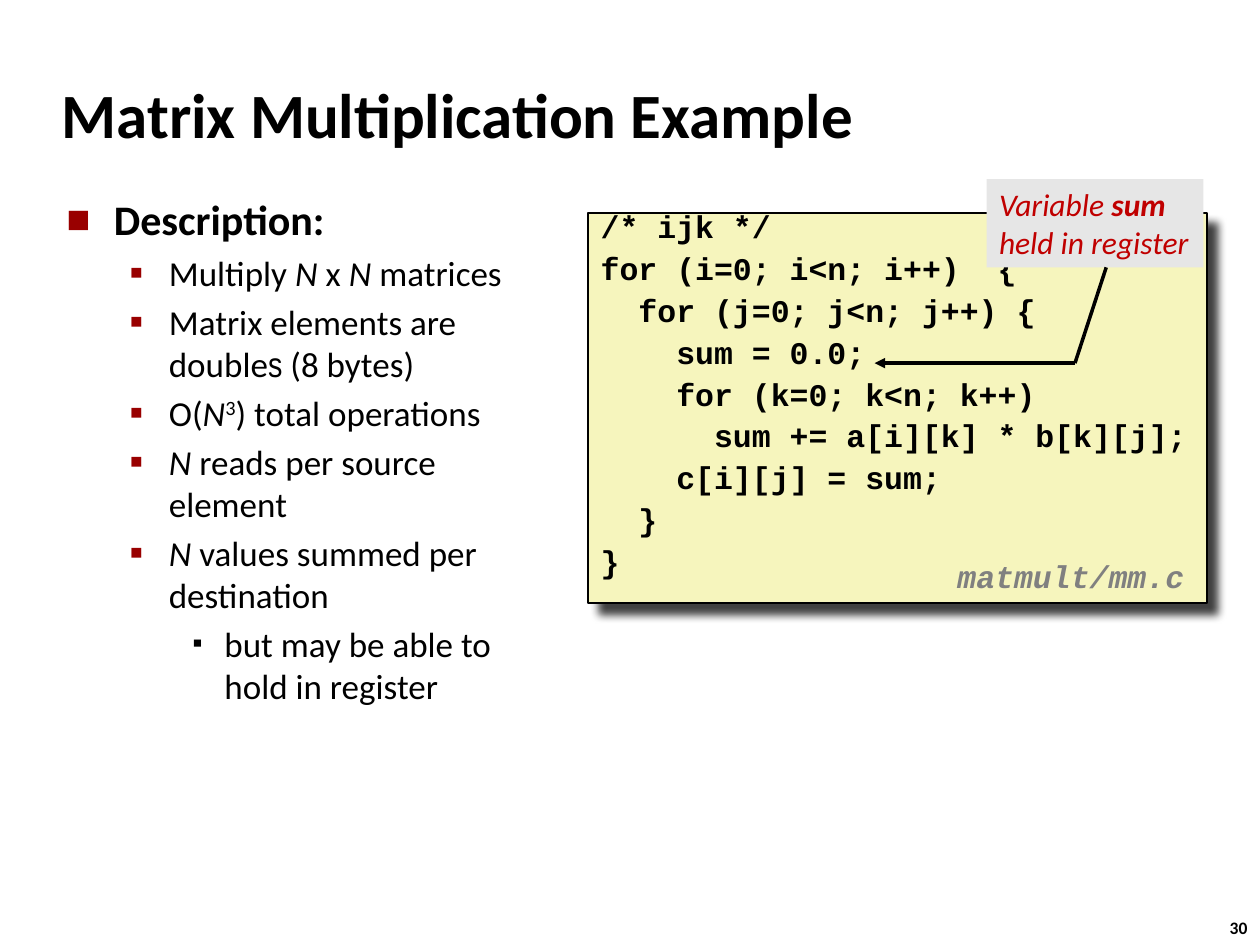
from lxml.etree import SubElement
from pptx import Presentation
from pptx.dml.color import RGBColor
from pptx.enum.shapes import MSO_CONNECTOR, MSO_SHAPE
from pptx.enum.text import MSO_ANCHOR, MSO_AUTO_SIZE, PP_ALIGN
from pptx.oxml.ns import qn
from pptx.util import Cm, Pt

CODE = """/* ijk */
for (i=0; i<n; i++)  {
  for (j=0; j<n; j++) {
    sum = 0.0;
    for (k=0; k<n; k++)
      sum += a[i][k] * b[k][j];
    c[i][j] = sum;
  }
}"""

ITALIC = {"italic": True}
MATRIX_SIZE = ("N", ITALIC)
DESCRIPTION = [
    (0, [("Description:", {"size": 24, "bold": True})]),
    (1, ["Multiply ", MATRIX_SIZE, " x ", MATRIX_SIZE, " matrices"]),
    (1, ["Matrix elements are double", ("s", {"font": "Arial Narrow"}), " (8 bytes)"]),
    (1, ["O(", MATRIX_SIZE, ("3", {"baseline": 30}), ") total operations"]),
    (1, [MATRIX_SIZE, " reads per source element"]),
    (1, [MATRIX_SIZE, " values summed per destination"]),
    (2, ["but may be able to hold in register"]),
]
BULLETS = [
    {"character": "■", "size": 60, "color": "990000", "left": 0.95, "hanging": 0.95},
    {"character": "▪", "size": 110, "color": "990000", "left": 2.06, "hanging": 0.79},
    {"character": "▪", "size": 80, "color": "000000", "left": 3.18, "hanging": 0.64},
]


def rgb(value):
    return RGBColor.from_string(value)


def place(shape, box):
    shape.left, shape.top, shape.width, shape.height = (Cm(value) for value in box)


def add_run(paragraph, text, font="Calibri", size=20, color="000000",
            bold=False, italic=False, baseline=0):
    run = paragraph.add_run()
    run.text = text
    run.font.name, run.font.size = font, Pt(size)
    run.font.bold, run.font.italic = bold, italic
    run.font.color.rgb = rgb(color)
    if baseline:
        run.font._element.set("baseline", str(baseline * 1000))


def write_text(shape, paragraphs, wrap=True, anchor=MSO_ANCHOR.TOP, autosize=MSO_AUTO_SIZE.NONE,
               line_spacing=1.0, space_before=0, **style):
    frame = shape.text_frame
    frame.word_wrap, frame.vertical_anchor, frame.auto_size = wrap, anchor, autosize
    for index, runs in enumerate(paragraphs):
        paragraph = frame.add_paragraph() if index else frame.paragraphs[0]
        paragraph.alignment = PP_ALIGN.LEFT
        paragraph.line_spacing = line_spacing
        paragraph.space_before = Pt(space_before if index else 0)
        for run in runs:
            text, changes = (run, {}) if isinstance(run, str) else run
            add_run(paragraph, text, **{**style, **changes})
    return frame


def add_bullet(paragraph, character, size, color, left, hanging):
    properties = paragraph._p.get_or_add_pPr()
    properties.set("marL", str(Cm(left)))
    properties.set("indent", str(-Cm(hanging)))
    SubElement(SubElement(properties, qn("a:buClr")), qn("a:srgbClr"), val=color)
    SubElement(properties, qn("a:buSzPct"), val=str(size * 1000))
    SubElement(properties, qn("a:buFont"), typeface="Calibri")
    SubElement(properties, qn("a:buChar"), char=character)


def add_panel(slide, box, fill, line=None):
    panel = slide.shapes.add_shape(MSO_SHAPE.RECTANGLE, *(Cm(value) for value in box))
    panel.shadow.inherit = False
    panel.fill.solid()
    panel.fill.fore_color.rgb = rgb(fill)
    if line:
        panel.line.color.rgb = rgb(line)
        panel.line.width = Pt(1)
    else:
        panel.line.fill.background()
    return panel


def add_drop_shadow(shape):
    effects = shape._element.spPr.find(qn("a:effectLst"))
    shadow = SubElement(effects, qn("a:outerShdw"), blurRad=str(Pt(5)), dist=str(Pt(8.5)),
                        dir=str(45 * 60000), algn="tl", rotWithShape="0")
    color = SubElement(shadow, qn("a:srgbClr"), val="000000")
    SubElement(color, qn("a:alpha"), val="75000")


def add_line(slide, start, end, arrow=False):
    connector = slide.shapes.add_connector(
        MSO_CONNECTOR.STRAIGHT, *(Cm(value) for value in start + end))
    connector.line.color.rgb = rgb("000000")
    connector.line.width = Pt(2)
    if arrow:
        SubElement(connector.line._get_or_add_ln(), qn("a:tailEnd"), type="triangle")
    SubElement(connector._element.spPr, qn("a:effectLst"))


def add_label(slide, box, text, **style):
    label = slide.shapes.add_textbox(*(Cm(value) for value in box))
    write_text(label, [[text]], wrap=False, autosize=MSO_AUTO_SIZE.SHAPE_TO_FIT_TEXT, **style)


def fill_title(slide, box):
    title = slide.shapes.title
    place(title, box)
    write_text(title, [["Matrix Multiplication Example"]], anchor=MSO_ANCHOR.MIDDLE,
               size=36, bold=True)


def fill_description(slide, box):
    body = slide.placeholders[1]
    place(body, box)
    frame = write_text(body, [runs for _, runs in DESCRIPTION], space_before=4)
    for paragraph, (level, _) in zip(frame.paragraphs, DESCRIPTION):
        paragraph.level = level
        add_bullet(paragraph, **BULLETS[level])


def add_code(slide, box):
    left, top, width, height = box
    panel = add_panel(slide, box, "F6F5BD", line="000000")
    add_drop_shadow(panel)
    write_text(panel, [[line] for line in CODE.splitlines()], line_spacing=0.65,
               space_before=9.9, font="Courier New", size=18, bold=True)
    add_label(slide, (left + width - 5.28, top + height - 0.99, 5.28, 0.99), "matmult/mm.c",
              line_spacing=0.94, font="Courier New", size=18, color="808080",
              bold=True, italic=True)


def add_callout(slide, box):
    left, top, width, height = box
    panel = add_panel(slide, box, "E6E6E6")
    write_text(panel, [["Variable ", ("sum", {"bold": True})], ["held in register"]],
               wrap=False, size=18, color="C00000", italic=True)
    corner = (left + 1.78, top + height + 1.93)
    add_line(slide, corner, (left - 2.26, corner[1]), arrow=True)
    add_line(slide, (left + 2.41, top + height), corner)


def main():
    presentation = Presentation()
    presentation.slide_width, presentation.slide_height = Cm(25.4), Cm(19.05)
    slide = presentation.slides.add_slide(presentation.slide_layouts[1])
    fill_title(slide, (0.99, 1.22, 21.08, 2.11))
    fill_description(slide, (1.09, 3.78, 10.11, 13.82))
    add_code(slide, (11.86, 4.29, 12.47, 7.87))
    add_callout(slide, (19.89, 3.61, 4.37, 1.78))
    add_label(slide, (24.54, 18.36, 0.94, 0.69), "30", size=10, bold=True)
    presentation.save("out.pptx")


if __name__ == "__main__":
    main()
